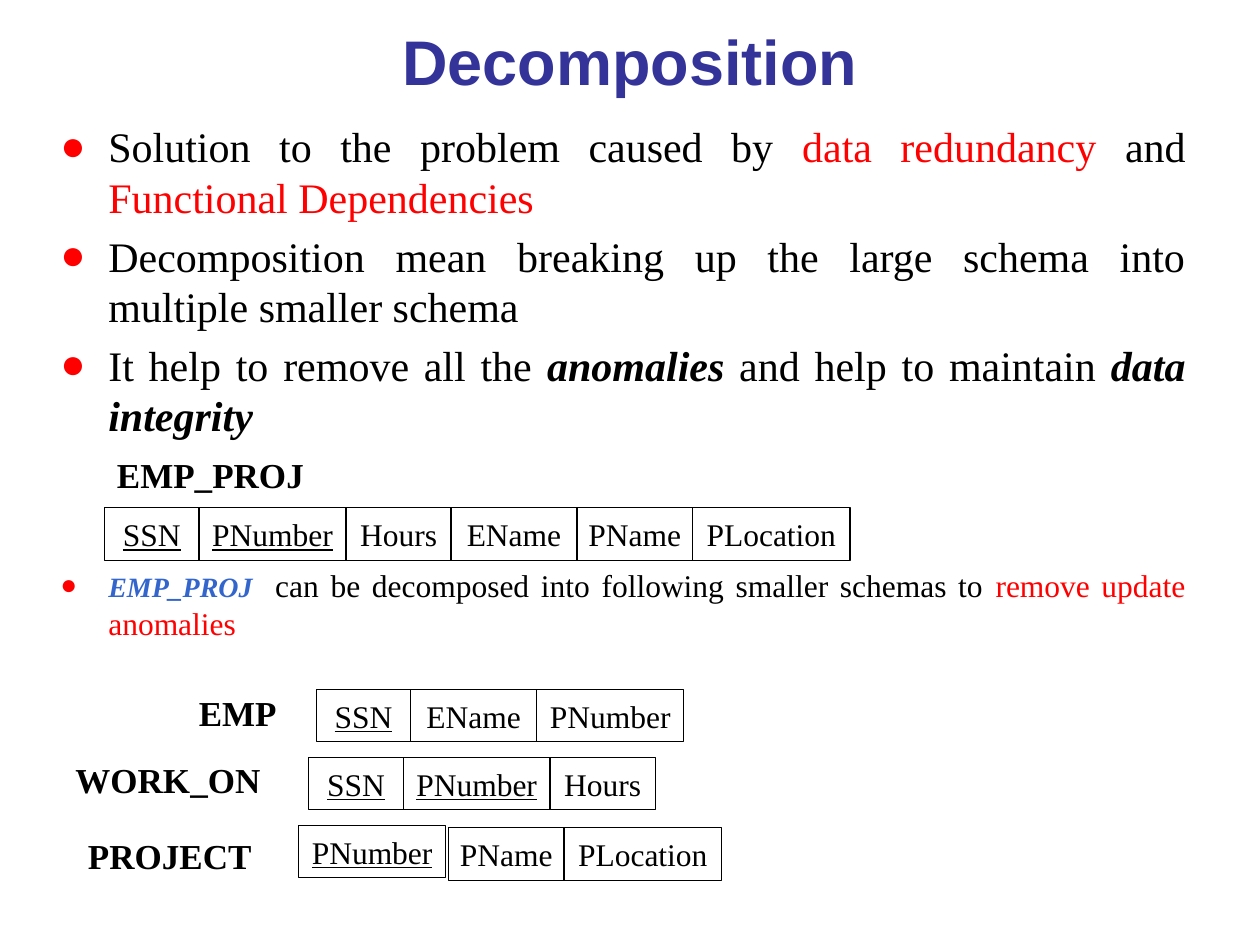
from dataclasses import dataclass
from itertools import accumulate

from lxml.etree import SubElement
from pptx import Presentation
from pptx.dml.color import RGBColor
from pptx.enum.shapes import MSO_SHAPE
from pptx.enum.text import MSO_ANCHOR, MSO_AUTO_SIZE, PP_ALIGN
from pptx.oxml.ns import qn
from pptx.util import Inches, Pt


@dataclass(frozen=True)
class Theme:
    heading_font: str = "Arial"
    text_font: str = "Times New Roman"
    heading: str = "333399"
    text: str = "000000"
    accent: str = "FF0000"
    relation: str = "3366CC"
    background: str = "FFFFFF"
    title_size: int = 36
    body_size: int = 24
    label_size: int = 20
    cell_size: int = 18
    relation_size: int = 16


THEME = Theme()
GRID = 1 / 12  # grid column and row, in inches
ROW_HEIGHT = 5 * GRID

# Column width of each attribute, in grid columns
WIDTHS = {"SSN": 9, "PNumber": 14, "Hours": 10, "EName": 12, "PName": 11, "PLocation": 15}

# Each bullet: space before in points, then runs of (text, format)
RED = {"color": THEME.accent}
STRONG = {"bold": True, "italic": True}
SMALL = {"size": THEME.cell_size}
BULLETS = [
    (0, [("Solution to the problem caused by ", {}), ("data redundancy ", RED),
         ("and", {}), (" Functional Dependencies", RED)]),
    (4.8, [("Decomposition mean breaking up the large schema into "
            "multiple smaller schema", {})]),
    (4.8, [("It help to remove all the ", {}), ("anomalies", STRONG),
           (" and help to maintain ", {}), ("data integrity", STRONG)]),
    (72, [("EMP_PROJ ", {**STRONG, "color": THEME.relation, "size": THEME.relation_size}),
          (" can be decomposed into following smaller schemas to ", SMALL),
          ("remove update anomalies", {**SMALL, **RED})]),
]

# Each schema: name, label position, then strips of (left, top, attributes, keys)
SCHEMAS = [
    ("EMP_PROJ", (0.83, 3.55),
     [(0.83, 4.03, ["SSN", "PNumber", "Hours", "EName", "PName", "PLocation"],
       {"SSN", "PNumber"})]),
    ("EMP", (1.48, 5.44), [(2.51, 5.47, ["SSN", "EName", "PNumber"], {"SSN"})]),
    ("WORK_ON", (0.5, 5.97),
     [(2.45, 6.01, ["SSN", "PNumber", "Hours"], {"SSN", "PNumber"})]),
    ("PROJECT", (0.6, 6.57),
     [(2.37, 6.55, ["PNumber"], {"PNumber"}),
      (3.56, 6.57, ["PName", "PLocation"], set())]),
]


def place(shape, left, top, width, height):
    shape.left, shape.top = Inches(left), Inches(top)
    shape.width, shape.height = Inches(width), Inches(height)


def add_run(paragraph, text, size, color=THEME.text, name=THEME.text_font,
            bold=False, italic=False, underline=False):
    run = paragraph.add_run()
    run.text = text
    font = run.font
    font.name, font.size = name, Pt(size)
    font.bold, font.italic, font.underline = bold, italic, underline
    font.color.rgb = RGBColor.from_string(color)


def add_bullet(paragraph):
    properties = paragraph._p.get_or_add_pPr()
    properties.set("marL", str(Inches(0.38)))
    properties.set("indent", str(-Inches(0.38)))
    color = SubElement(properties, qn("a:buClr"))
    SubElement(color, qn("a:srgbClr"), val=THEME.accent)
    SubElement(properties, qn("a:buChar"), char="●")


def fill_title(shape, box):
    place(shape, *box)
    frame = shape.text_frame
    frame.auto_size = MSO_AUTO_SIZE.NONE
    frame.vertical_anchor = MSO_ANCHOR.MIDDLE
    paragraph = frame.paragraphs[0]
    paragraph.alignment = PP_ALIGN.CENTER
    add_run(paragraph, "Decomposition", THEME.title_size, THEME.heading,
            THEME.heading_font, bold=True)


def fill_body(shape, box):
    place(shape, *box)
    frame = shape.text_frame
    frame.auto_size = MSO_AUTO_SIZE.NONE
    frame.vertical_anchor = MSO_ANCHOR.TOP
    for index, (space, runs) in enumerate(BULLETS):
        paragraph = frame.add_paragraph() if index else frame.paragraphs[0]
        add_bullet(paragraph)
        paragraph.alignment = PP_ALIGN.JUSTIFY
        paragraph.space_before = Pt(space)
        for text, style in runs:
            add_run(paragraph, text, **{"size": THEME.body_size, **style})


def add_label(slide, text, left, top):
    shape = slide.shapes.add_textbox(Inches(left), Inches(top), Inches(2), Inches(0.44))
    shape.text_frame.word_wrap = False
    add_run(shape.text_frame.paragraphs[0], text, THEME.label_size, bold=True)


def add_strip(slide, left, top, attributes, keys):
    """Draw adjoining attribute cells, with the keys underlined."""
    offsets = accumulate((WIDTHS[name] for name in attributes), initial=0)
    for name, offset in zip(attributes, offsets):
        cell = slide.shapes.add_shape(
            MSO_SHAPE.RECTANGLE, Inches(left + offset * GRID), Inches(top),
            Inches(WIDTHS[name] * GRID), Inches(ROW_HEIGHT))
        cell.shadow.inherit = False
        cell.fill.background()
        cell.line.color.rgb = RGBColor.from_string(THEME.text)
        cell.line.width = Pt(0.75)
        frame = cell.text_frame
        frame.word_wrap = False
        frame.vertical_anchor = MSO_ANCHOR.MIDDLE
        paragraph = frame.paragraphs[0]
        paragraph.alignment = PP_ALIGN.CENTER
        add_run(paragraph, name, THEME.cell_size, underline=name in keys)


def main():
    presentation = Presentation()
    presentation.slide_width, presentation.slide_height = Inches(10), Inches(7.5)
    slide = presentation.slides.add_slide(presentation.slide_layouts[1])
    slide.background.fill.solid()
    slide.background.fill.fore_color.rgb = RGBColor.from_string(THEME.background)

    # Title and bullet list
    fill_title(slide.shapes.title, (0.75, 0.24, 8.5, 0.48))
    fill_body(slide.placeholders[1], (0.38, 0.91, 9.13, 2.83))

    # Schemas with their attributes
    for name, position, strips in SCHEMAS:
        add_label(slide, name, *position)
        for strip in strips:
            add_strip(slide, *strip)

    presentation.save("out.pptx")


if __name__ == "__main__":
    main()
